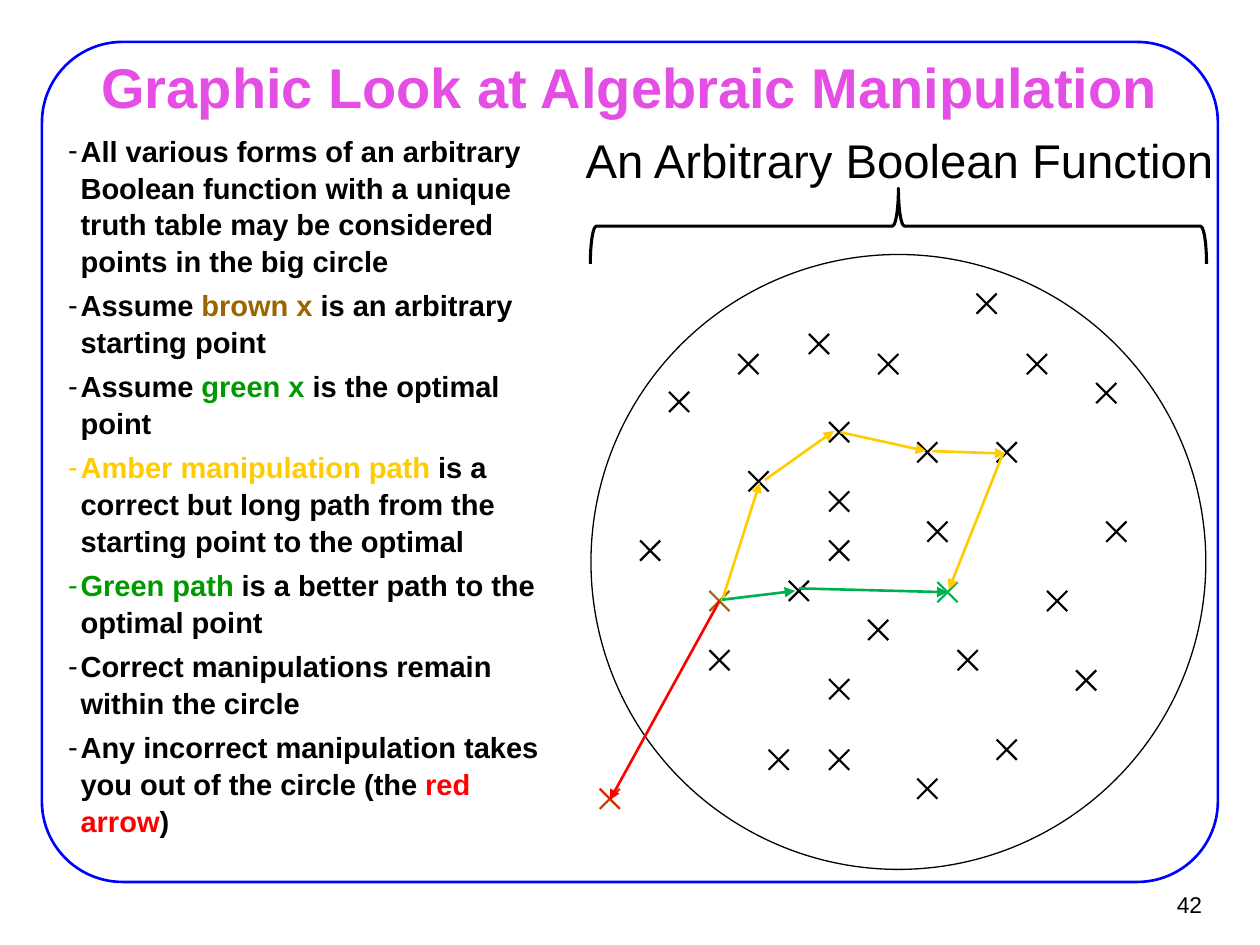
from lxml import etree
from pptx import Presentation
from pptx.dml.color import RGBColor
from pptx.enum.shapes import MSO_CONNECTOR, MSO_SHAPE
from pptx.enum.text import MSO_ANCHOR, PP_ALIGN
from pptx.oxml.ns import qn
from pptx.util import Inches, Pt

STRAIGHT = MSO_CONNECTOR.STRAIGHT
FRAME, CIRCLE, BRACE = MSO_SHAPE.ROUNDED_RECTANGLE, MSO_SHAPE.OVAL, MSO_SHAPE.LEFT_BRACE
LEFT, CENTER, RIGHT = PP_ALIGN.LEFT, PP_ALIGN.CENTER, PP_ALIGN.RIGHT
TOP, MIDDLE = MSO_ANCHOR.TOP, MSO_ANCHOR.MIDDLE

COLUMNS, ROWS = 100, 75
BLACK, WHITE, BLUE, PINK = "000000", "FFFFFF", "0000FF", "E44EE4"
BROWN, GREEN, AMBER, RED = "996600", "009900", "FFCC00", "FF0000"
PATH_GREEN, RUST = "00B050", "CC3300"

NOTES = [
    [("All various forms of an arbitrary Boolean function with a unique truth table "
      "may be considered points in the big circle", BLACK)],
    [("Assume", BLACK), (" brown x", BROWN), (" is an arbitrary starting point", BLACK)],
    [("Assume", BLACK), (" green x", GREEN), (" is the optimal point", BLACK)],
    [("Amber manipulation path ", AMBER),
     ("is a correct but long path from the starting point to the optimal", BLACK)],
    [("Green path ", GREEN), ("is a better path to the optimal point", BLACK)],
    [("Correct manipulations remain within the circle", BLACK)],
    [("Any incorrect manipulation takes you out of the circle (the ", BLACK),
     ("red arrow", RED), (")", BLACK)],
]

FORMS = {
    BLACK: [(65, 27.3), (66.6, 34.3), (70.5, 28.9), (66.6, 39.8), (82.3, 28.9),
            (66.6, 43.7), (69.7, 50), (60.2, 38.2), (63.4, 46.9), (57.1, 52.4),
            (66.6, 54.7), (61.8, 60.3), (76.8, 52.4), (66.6, 60.3), (73.6, 35.9),
            (83.9, 47.7), (74.4, 42.2), (79.9, 35.9), (51.6, 43.7), (88.6, 42.2),
            (73.6, 62.6), (79.9, 59.5), (86.2, 54), (59.4, 28.9), (53.9, 31.9),
            (78.3, 24.1), (87.8, 31.2)],
    PATH_GREEN: [(75.2, 47)],
    RUST: [(48.4, 63.4)],
    BROWN: [(57.1, 47.7)],
}

MANIPULATIONS = {
    AMBER: [((57.3, 47.7), (60.3, 38.3)), ((60.7, 38.1), (66.2, 34.2)),
            ((66.7, 34.3), (73.5, 35.8)), ((74, 35.8), (79.8, 36)),
            ((79.6, 36), (75.3, 46.8))],
    PATH_GREEN: [((57.3, 47.6), (63.1, 46.9)), ((63.4, 46.7), (75.2, 47))],
    RED: [((57.1, 47.7), (48.4, 63.5))],
}


def color(value):
    return RGBColor.from_string(value)


class Board:
    font = "Arial"

    def __init__(self, deck):
        self.slide = deck.slides.add_slide(deck.slide_layouts[6])
        self.column = deck.slide_width / COLUMNS
        self.row = deck.slide_height / ROWS

    def place(self, x, y):
        return round(x * self.column), round(y * self.row)

    def outline(self, kind, x, y, width, height, line, weight, fill=None, corner=None, turn=0):
        shape = self.slide.shapes.add_shape(kind, *self.place(x, y), *self.place(width, height))
        shape.shadow.inherit = False
        shape.rotation = turn
        if corner is not None:
            shape.adjustments[0] = corner
        if fill:
            shape.fill.solid()
            shape.fill.fore_color.rgb = color(fill)
        else:
            shape.fill.background()
        shape.line.color.rgb = color(line)
        shape.line.width = Pt(weight)

    def stroke(self, start, end, line, weight, arrow=False):
        connector = self.slide.shapes.add_connector(STRAIGHT, *self.place(*start), *self.place(*end))
        connector.line.color.rgb = color(line)
        connector.line.width = Pt(weight)
        if arrow:
            etree.SubElement(connector.line._get_or_add_ln(), qn("a:tailEnd"), type="triangle")
        etree.SubElement(connector._element.spPr, qn("a:effectLst"))

    def cross(self, x, y, line, arm=0.8):
        for rise in (-arm, arm):
            self.stroke((x - arm, y + rise), (x + arm, y - rise), line, 1.25)

    def frame(self, x, y, width, height, anchor, inset):
        box = self.slide.shapes.add_textbox(*self.place(x, y), *self.place(width, height))
        text = box.text_frame
        text.word_wrap = True
        text.vertical_anchor = anchor
        text.margin_left = text.margin_right = Inches(inset)
        text.margin_top = text.margin_bottom = Inches(inset / 2)
        return text

    def style(self, run, size, ink, bold):
        run.font.name = self.font
        run.font.size = Pt(size)
        run.font.bold = bold
        run.font.color.rgb = color(ink)

    def label(self, words, x, y, width, height, size, ink=BLACK, bold=False,
              align=LEFT, anchor=TOP, inset=0.1):
        text = self.frame(x, y, width, height, anchor, inset)
        text.text = words
        text.paragraphs[0].alignment = align
        self.style(text.paragraphs[0].runs[0], size, ink, bold)

    def bullets(self, items, x, y, width, height, size):
        text = self.frame(x, y, width, height, TOP, 0.11)
        for index, pieces in enumerate(items):
            paragraph = text.add_paragraph() if index else text.paragraphs[0]
            properties = paragraph._p.get_or_add_pPr()
            properties.set("marL", str(Inches(0.1)))
            properties.set("indent", str(-Inches(0.1)))
            tint = etree.SubElement(properties, qn("a:buClr"))
            etree.SubElement(tint, qn("a:srgbClr"), val=pieces[0][1])
            etree.SubElement(properties, qn("a:buFont"), typeface=self.font)
            etree.SubElement(properties, qn("a:buChar"), char="-")
            paragraph.line_spacing = 1.05
            if index:
                paragraph.space_before = Pt(4.5)
            for words, ink in pieces:
                run = paragraph.add_run()
                run.text = words
                self.style(run, size, ink, True)


def main():
    deck = Presentation()
    deck.slide_width, deck.slide_height = Inches(10), Inches(7.5)
    board = Board(deck)

    board.outline(FRAME, 3.33, 3.33, 93.33, 66.67, BLUE, 1.5, corner=0.096)
    board.label("42", 90.2, 69.9, 6.1, 3.7, 13, align=RIGHT, anchor=MIDDLE, inset=0.09)
    board.label("Graphic Look at Algebraic Manipulation", 1.2, 4.4, 97.6, 4.9, 32,
                PINK, True, CENTER, MIDDLE, 0.11)
    board.bullets(NOTES, 4.3, 9.9, 41.2, 58.3, 16.6)

    board.outline(CIRCLE, 46.9, 20.2, 48.8, 48.8, BLACK, 0.75, fill=WHITE)
    for ink, points in FORMS.items():
        for point in points:
            board.cross(*point, ink)
    for ink, steps in MANIPULATIONS.items():
        for start, end in steps:
            board.stroke(start, end, ink, 1.5, arrow=True)

    board.label("An Arbitrary Boolean Function", 45.5, 9.9, 52.6, 5.5, 27)
    board.outline(BRACE, 68.3, -6.5, 6, 48.9, BLACK, 1.75, corner=0.08, turn=90)
    deck.save("out.pptx")


if __name__ == "__main__":
    main()
